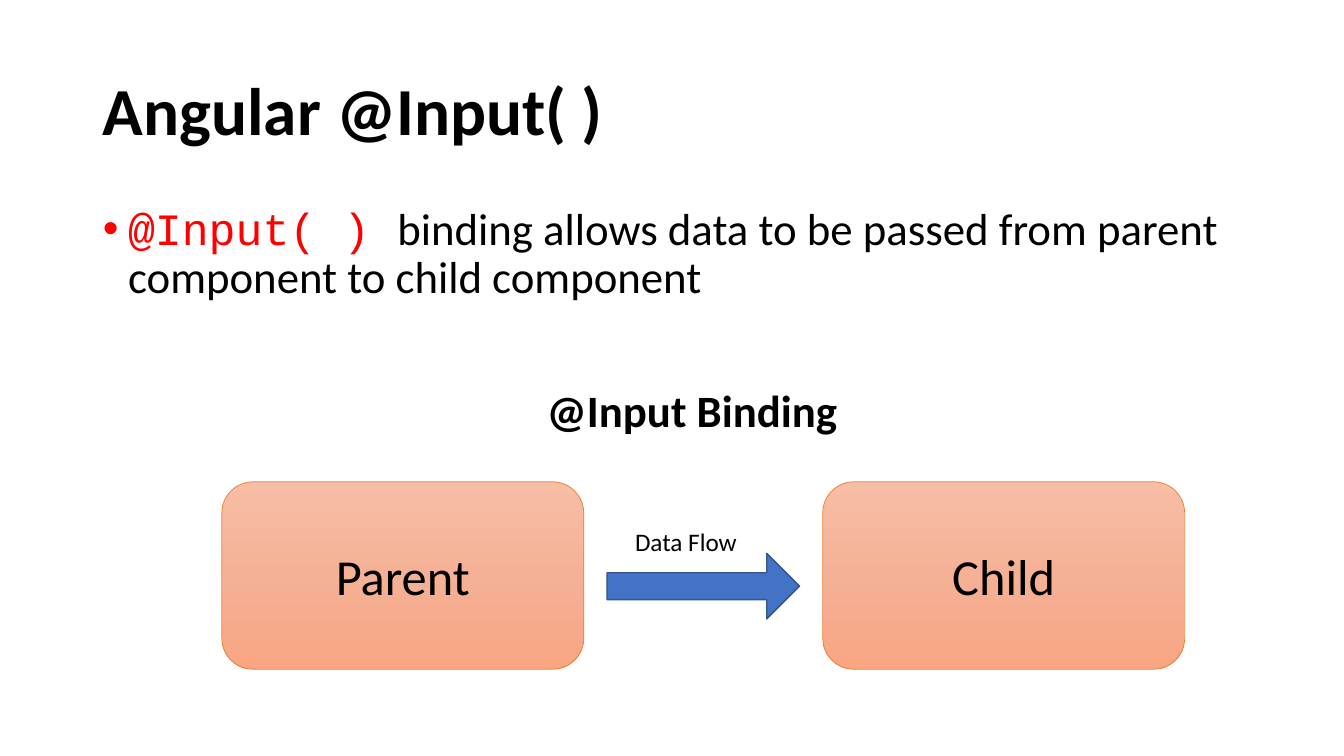
from copy import deepcopy

from pptx import Presentation
from pptx.dml.color import RGBColor
from pptx.enum.shapes import MSO_SHAPE as Shape
from pptx.enum.text import MSO_ANCHOR as Anchor, MSO_AUTO_SIZE as AutoSize, PP_ALIGN as Align
from pptx.oxml.ns import qn
from pptx.util import Inches, Pt

BLACK = RGBColor(0x00, 0x00, 0x00)
RED = RGBColor(0xFF, 0x00, 0x00)
ORANGE = RGBColor(0xED, 0x7D, 0x31)
BLUE = RGBColor(0x44, 0x72, 0xC4)
DARK_BLUE = RGBColor(0x32, 0x54, 0x91)
PEACH = [RGBColor(0xF7, 0xBD, 0xA5), RGBColor(0xF5, 0xB1, 0x96), RGBColor(0xF8, 0xA5, 0x82)]

MARGIN, CONTENT_W = 0.92, 11.5
BOX_LEFT, BOX_TOP, BOX_W, BOX_H = 2.2, 4.78, 3.59, 1.86
BOX_STEP = 5.96
ARROW_W, ARROW_H = 1.91, 0.65


def place(shape, left, top, width, height):
    shape.left, shape.top = Inches(left), Inches(top)
    shape.width, shape.height = Inches(width), Inches(height)


def write(shape, text, size, bold=False, align=Align.LEFT):
    shape.text_frame.word_wrap = True
    line = shape.text_frame.paragraphs[0]
    line.text, line.alignment = text, align
    line.font.name, line.font.size, line.font.bold = "Calibri", Pt(size), bold
    line.font.color.rgb = BLACK
    return line


deck = Presentation()
deck.slide_width, deck.slide_height = Inches(13.33), Inches(7.5)
slide = deck.slides.add_slide(deck.slide_layouts[1])

# Title
title = slide.shapes.title
place(title, MARGIN, 0.4, CONTENT_W, 1.45)
write(title, "Angular @Input( )", 48, bold=True).line_spacing = 0.9
title.text_frame.vertical_anchor = Anchor.MIDDLE
title.text_frame.auto_size = AutoSize.NONE

# Explanation
body = slide.placeholders[1]
place(body, MARGIN, 2, CONTENT_W, 4.76)
body.text_frame.auto_size = AutoSize.NONE
bullet = body.text_frame.paragraphs[0]
bullet.line_spacing, bullet.space_before = 0.9, Pt(10)
bullet.font.size = Pt(32)
indent = bullet._p.get_or_add_pPr()
indent.set("marL", str(Inches(0.25)))
indent.set("indent", str(-Inches(0.25)))
for words, font, color in [
    ("@Input( ) ", "Courier New", RED),
    ("binding allows data to be passed from parent component to child component", "Calibri", BLACK),
]:
    run = bullet.add_run()
    run.text, run.font.name, run.font.size = words, font, Pt(32)
    run.font.color.rgb = color

# Parent and child components
for column, component in enumerate(["Parent", "Child"]):
    box = slide.shapes.add_shape(Shape.ROUNDED_RECTANGLE, 0, 0, 0, 0)
    place(box, BOX_LEFT + column * BOX_STEP, BOX_TOP, BOX_W, BOX_H)
    box.shadow.inherit = False
    box.fill.gradient()
    box.fill.gradient_angle = 270
    first_stop = box._element.spPr.find(".//" + qn("a:gs"))
    first_stop.addnext(deepcopy(first_stop))
    for index, (stop, color) in enumerate(zip(box.fill.gradient_stops, PEACH)):
        stop.position, stop.color.rgb = index / 2, color
    box.line.color.rgb, box.line.width = ORANGE, Pt(0.5)
    write(box, component, 36, align=Align.CENTER)
    box.text_frame.vertical_anchor = Anchor.MIDDLE

# Data flow arrow, centred in the gap between the boxes
gap_center = BOX_LEFT + (BOX_W + BOX_STEP) / 2
arrow = slide.shapes.add_shape(Shape.RIGHT_ARROW, 0, 0, 0, 0)
place(arrow, gap_center - ARROW_W / 2, 5.49, ARROW_W, ARROW_H)
arrow.adjustments[0], arrow.adjustments[1] = 0.41, 0.5
arrow.shadow.inherit = False
arrow.fill.solid()
arrow.fill.fore_color.rgb = BLUE
arrow.line.color.rgb, arrow.line.width = DARK_BLUE, Pt(1)

# Diagram captions
for text, area, size, bold, align in [
    ("Data Flow", (6.2, 5.17, 1.56, 0.4), 18, False, Align.LEFT),
    ("@Input Binding", (5.13, 3.75, 3.47, 0.64), 32, True, Align.CENTER),
]:
    caption = slide.shapes.add_textbox(0, 0, 0, 0)
    place(caption, *area)
    write(caption, text, size, bold, align)

deck.save("out.pptx")
